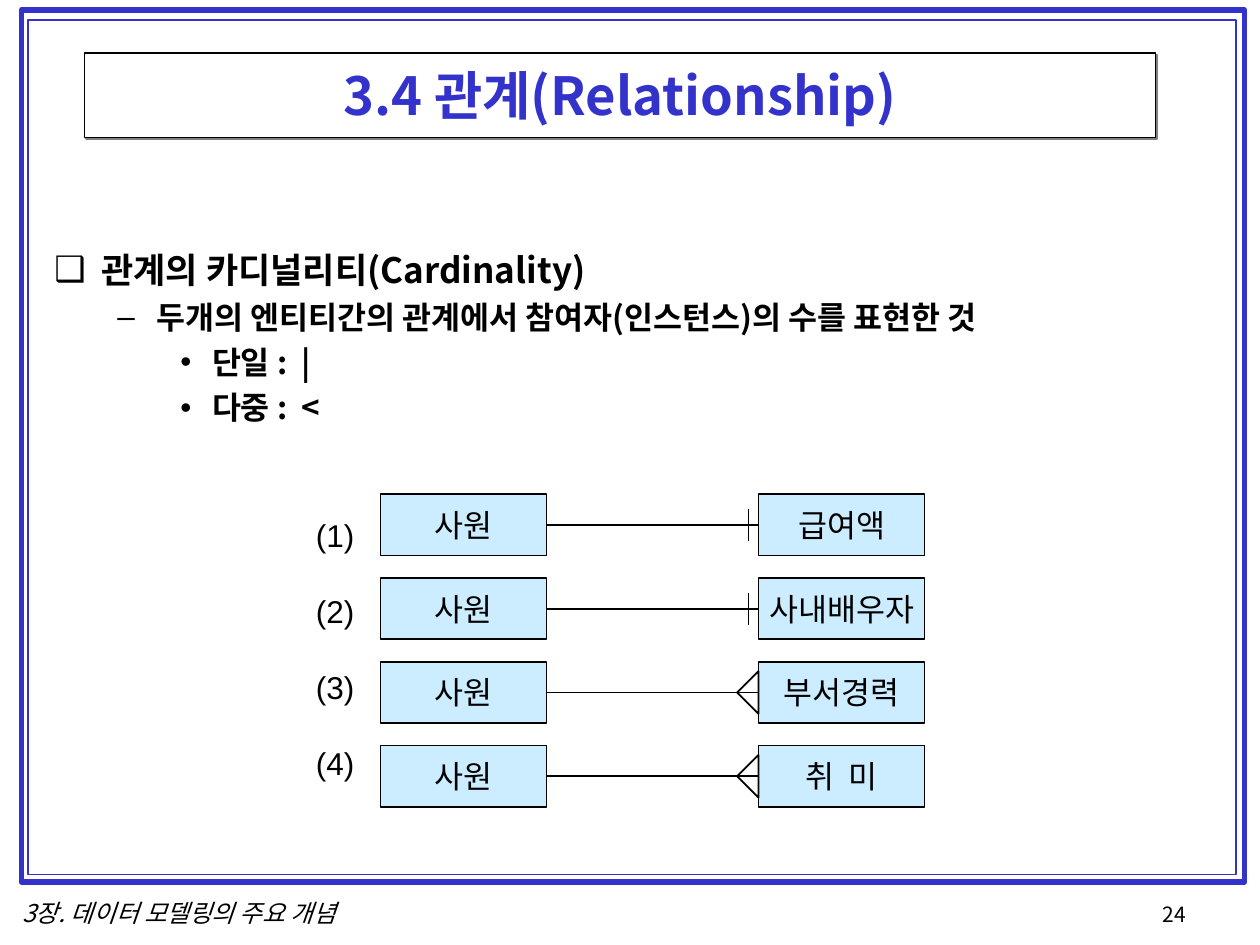
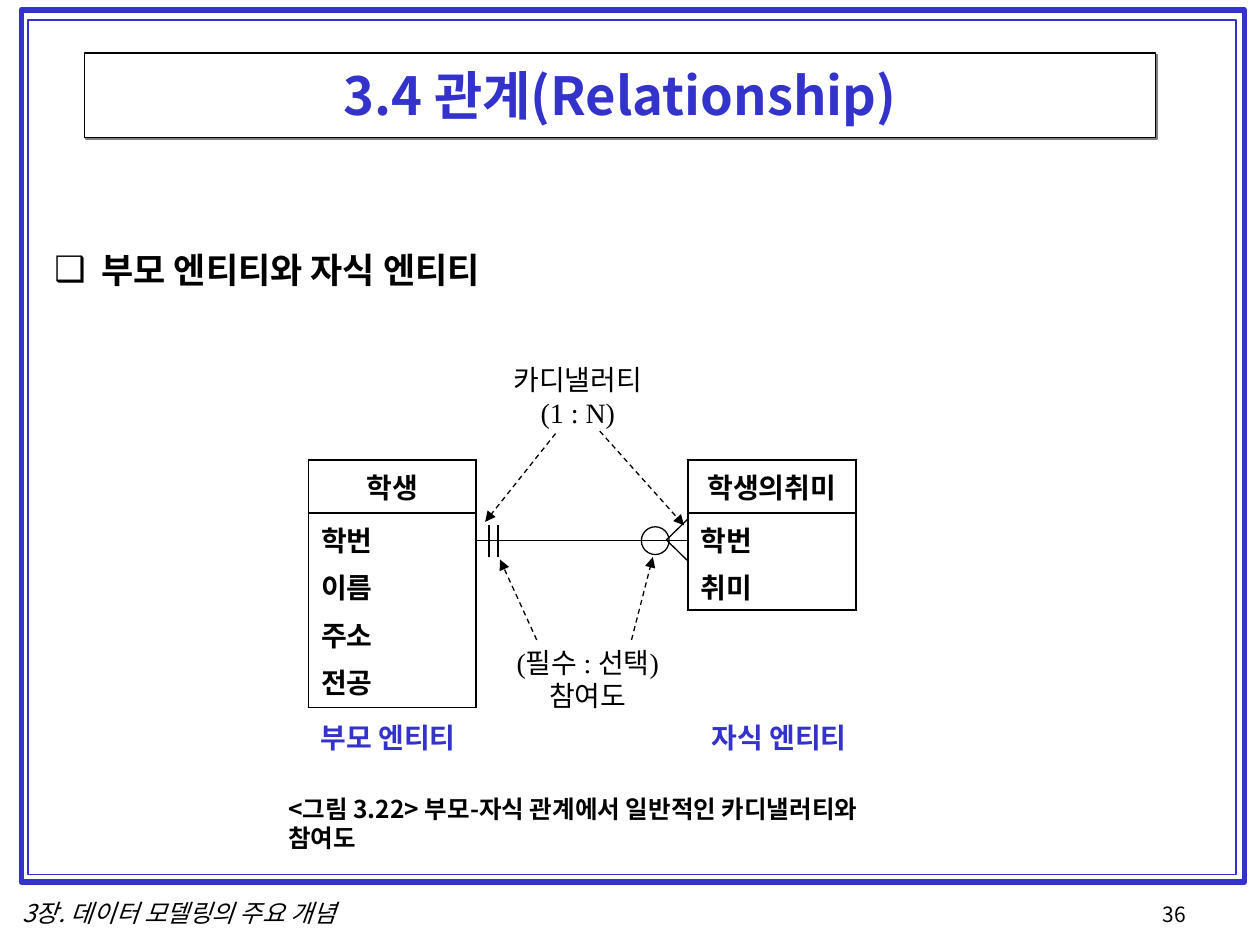
from lxml import etree
from pptx import Presentation
from pptx.dml.color import RGBColor
from pptx.enum.dml import MSO_LINE
from pptx.enum.shapes import MSO_CONNECTOR, MSO_SHAPE
from pptx.enum.text import MSO_ANCHOR, MSO_AUTO_SIZE, PP_ALIGN
from pptx.oxml.ns import qn
from pptx.util import Cm, Pt

LEFT, CENTER = PP_ALIGN.LEFT, PP_ALIGN.CENTER
MIDDLE = MSO_ANCHOR.MIDDLE
NO_AUTOFIT = MSO_AUTO_SIZE.NONE
STRAIGHT = MSO_CONNECTOR.STRAIGHT
DASH = MSO_LINE.DASH
RECTANGLE, OVAL = MSO_SHAPE.RECTANGLE, MSO_SHAPE.OVAL
TRIANGLE, RIGHT_TRIANGLE = MSO_SHAPE.ISOSCELES_TRIANGLE, MSO_SHAPE.RIGHT_TRIANGLE

BLUE, BLACK, WHITE = "3333CC", "000000", "FFFFFF"
ENTITY_FILL, SHADOW_GRAY = "CCECFF", "808080"
KOREAN, SANS, SERIF = "Noto Sans CJK KR", "Arial", "Times New Roman"
LINE_HEIGHT = 1.19

TITLE = "3.4 관계(Relationship)"
FOOTER = "3장. 데이터 모델링의 주요 개념"

# Per outline level: bullet, left margin, hanging indent, size, space before
LEVELS = [
    ("❑", 0.95, 0.95, 20, 5),
    ("–", 2.06, 0.79, 18, 4.5),
    ("•", 3.18, 0.64, 18, 4.5),
]


def color(hex_string):
    return RGBColor.from_string(hex_string)


def add_element(parent, tag, **attributes):
    element = etree.SubElement(parent, qn(tag))
    for name, value in attributes.items():
        element.set(name, str(value))
    return element


# Text
def style_paragraph(paragraph, size, font=KOREAN, ink=BLACK, bold=False,
                    italic=False, align=LEFT, space_before=0, exact=True):
    paragraph.alignment = align
    paragraph.space_before = Pt(space_before)
    if exact:
        paragraph.line_spacing = Pt(round(size * LINE_HEIGHT, 1))
    paragraph.font.name = font
    paragraph.font.size = Pt(size)
    paragraph.font.bold = bold
    paragraph.font.italic = italic
    paragraph.font.color.rgb = color(ink)
    add_element(paragraph.font._element, "a:ea", typeface=KOREAN)


def fill_text(frame, lines, size, space_before=0, **style):
    for index, line in enumerate(lines):
        paragraph = frame.paragraphs[0] if index == 0 else frame.add_paragraph()
        paragraph.text = line
        style_paragraph(paragraph, size,
                        space_before=space_before if index else 0, **style)


def add_label(slide, left, top, width, height, lines, size, **style):
    box = slide.shapes.add_textbox(Cm(left), Cm(top), Cm(width), Cm(height))
    box.text_frame.word_wrap = True
    fill_text(box.text_frame, lines, size, **style)


def place(shape, left, top, width, height):
    shape.left, shape.top = Cm(left), Cm(top)
    shape.width, shape.height = Cm(width), Cm(height)


# Shapes and lines
def add_outline(slide, kind, left, top, width, height, weight,
                ink=BLACK, fill=None, rotation=0):
    shape = slide.shapes.add_shape(kind, Cm(left), Cm(top), Cm(width), Cm(height))
    shape.shadow.inherit = False
    shape.rotation = rotation
    if fill:
        shape.fill.solid()
        shape.fill.fore_color.rgb = color(fill)
    else:
        shape.fill.background()
    shape.line.color.rgb = color(ink)
    shape.line.width = Pt(weight)
    return shape


def add_line(slide, start, end, weight, dashed_arrow=False):
    connector = slide.shapes.add_connector(
        STRAIGHT, Cm(start[0]), Cm(start[1]), Cm(end[0]), Cm(end[1]))
    connector.line.color.rgb = color(BLACK)
    connector.line.width = Pt(weight)
    if dashed_arrow:
        connector.line.dash_style = DASH
        add_element(connector.line._get_or_add_ln(), "a:tailEnd", type="triangle")
    add_element(connector._element.spPr, "a:effectLst")


def add_tick(slide, x, y, weight):
    add_line(slide, (x, y - 0.32), (x, y + 0.32), weight)


def add_entity(slide, left, top, width, height, name):
    box = add_outline(slide, RECTANGLE, left, top, width, height, 1, fill=ENTITY_FILL)
    frame = box.text_frame
    frame.margin_left = frame.margin_right = 0
    frame.vertical_anchor = MIDDLE
    fill_text(frame, [name], 18, font=SANS, align=CENTER)


# Entity with its attributes, as a one-column table
def add_entity_table(slide, left, top, width, name, attributes):
    heights = [1.07, 0.98 * len(attributes)]
    graphic = slide.shapes.add_table(2, 1, Cm(left), Cm(top), Cm(width), Cm(sum(heights)))
    table = graphic.table
    table.first_row = table.horz_banding = False
    contents = [([name], CENTER), (attributes, LEFT)]
    for row, height, (lines, align) in zip(table.rows, heights, contents):
        row.height = Cm(height)
        cell = row.cells[0]
        properties = cell._tc.get_or_add_tcPr()
        for side in ("a:lnL", "a:lnR", "a:lnT", "a:lnB"):
            border = add_element(properties, side, w=Pt(1.08))
            add_element(add_element(border, "a:solidFill"), "a:srgbClr", val=BLACK)
        cell.fill.background()
        fill_text(cell.text_frame, lines, 16, space_before=4, font=SANS,
                  bold=True, align=align, exact=False)


# Parts every slide shares
def add_title(slide):
    title = slide.shapes.title
    place(title, 1.7, 1.07, 21.59, 1.7)
    title.fill.solid()
    title.fill.fore_color.rgb = color(WHITE)
    title.line.color.rgb = color(BLACK)
    title.line.width = Pt(0.75)
    effects = add_element(title._element.spPr, "a:effectLst")
    shadow = add_element(effects, "a:outerShdw", dist=Pt(1.4), dir=45 * 60000,
                         algn="ctr", rotWithShape=0)
    add_element(shadow, "a:srgbClr", val=SHADOW_GRAY)
    title.text_frame.auto_size = NO_AUTOFIT
    title.text_frame.vertical_anchor = MIDDLE
    fill_text(title.text_frame, [TITLE], 30, ink=BLUE, bold=True, align=CENTER)


def add_outline_list(slide, items):
    body = slide.placeholders[1]
    place(body, 0.84, 4.88, 23.7, 12.27)
    frame = body.text_frame
    frame.auto_size = NO_AUTOFIT
    for index, (level, text) in enumerate(items):
        bullet, margin, hanging, size, space_before = LEVELS[level]
        paragraph = frame.paragraphs[0] if index == 0 else frame.add_paragraph()
        paragraph.text = text
        paragraph.level = level
        properties = paragraph._p.get_or_add_pPr()
        properties.set("marL", str(Cm(margin)))
        properties.set("indent", str(-Cm(hanging)))
        bullet_color = add_element(properties, "a:buClr")
        add_element(bullet_color, "a:srgbClr", val=BLACK)
        add_element(properties, "a:buChar", char=bullet)
        style_paragraph(paragraph, size, bold=True,
                        space_before=space_before if index else 0)


def add_base_slide(presentation, number, items):
    slide = presentation.slides.add_slide(presentation.slide_layouts[1])
    add_outline(slide, RECTANGLE, 0.43, 0.2, 24.66, 17.58, 3, ink=BLUE)
    add_outline(slide, RECTANGLE, 0.56, 0.41, 24.36, 17.22, 1, ink=BLUE)
    add_label(slide, 0.2, 17.98, 9, 0.86, [FOOTER], 14, italic=True)
    add_label(slide, 23.19, 18.06, 2, 0.84, [str(number)], 12)
    add_title(slide)
    add_outline_list(slide, items)
    return slide


# Cardinality examples: one row per relationship
def add_cardinality_slide(presentation):
    slide = add_base_slide(presentation, 24, [
        (0, "관계의 카디널리티(Cardinality)"),
        (1, "두개의 엔티티간의 관계에서 참여자(인스턴스)의 수를 표현한 것"),
        (2, "단일 :  |"),
        (2, "다중 :  <"),
    ])
    left, right, width, height = 7.67, 15.29, 3.35, 1.24
    first_top, pitch, foot = 9.96, 1.69, 0.61
    relations = [("급여액", False), ("사내배우자", False),
                 ("부서경력", True), ("취  미", True)]
    for index, (partner, is_many) in enumerate(relations):
        top = first_top + index * pitch
        middle = top + height / 2
        add_entity(slide, left, top, width, height, "사원")
        add_entity(slide, right, top, width, height, partner)
        add_line(slide, (left + width, middle), (right, middle), 1)
        if is_many:
            add_outline(slide, RIGHT_TRIANGLE, right - foot / 2, middle - foot / 2,
                        foot, foot, 1, rotation=45)
        else:
            add_tick(slide, right - 0.2, middle, 1)
    numbers = [f"({index})" for index in range(1, len(relations) + 1)]
    add_label(slide, 6.12, 10.29, 1.5, 6.35, numbers, 18, font=SANS, space_before=22)


# Parent and child entities joined by a 1 : N relationship
def add_parent_child_slide(presentation):
    slide = add_base_slide(presentation, 36, [(0, "부모 엔티티와 자식 엔티티")])
    parent, child, width, top, middle = 6.22, 13.87, 3.38, 9.27, 10.9
    add_entity_table(slide, parent, top, width, "학생", ["학번", "이름", "주소", "전공"])
    add_entity_table(slide, child, top, width, "학생의취미", ["학번", "취미"])

    # Relationship symbols
    add_line(slide, (parent + width, middle), (child, middle), 0.75)
    for x in (9.86, 10.04):
        add_tick(slide, x, middle, 0.75)
    add_outline(slide, TRIANGLE, 13.23, 10.67, 0.84, 0.43, 0.75, rotation=270)
    add_outline(slide, OVAL, 12.93, 10.62, 0.56, 0.56, 0.75)

    # Explanations and their pointers
    add_label(slide, 9.65, 7.19, 4, 1.63, ["카디낼러티", "(1 : N)"], 16,
              font=SERIF, align=CENTER)
    add_label(slide, 9.35, 12.9, 5, 1.63, ["(필수 : 선택)", "참여도"], 16,
              font=SERIF, align=CENTER)
    for start, end in [((11.2, 8.74), (9.78, 10.52)), ((12.09, 8.69), (13.79, 10.59)),
                       ((10.82, 12.9), (10.08, 11.28)), ((12.73, 12.9), (13.16, 11.23))]:
        add_line(slide, start, end, 0.75, dashed_arrow=True)

    # Names and caption
    for left, name in [(parent, "부모 엔티티"), (14.1, "자식 엔티티")]:
        add_label(slide, left, 14.4, 4, 0.94, [name], 16, font=SERIF, ink=BLUE, bold=True)
    add_label(slide, 5.56, 15.88, 13.4, 1.4,
              ["<그림 3.22> 부모-자식 관계에서 일반적인 카디낼러티와 참여도"], 14, bold=True)


def main():
    presentation = Presentation()
    presentation.slide_width = Cm(25.4)
    presentation.slide_height = Cm(19.05)
    add_cardinality_slide(presentation)
    add_parent_child_slide(presentation)
    presentation.save("out.pptx")


if __name__ == "__main__":
    main()
